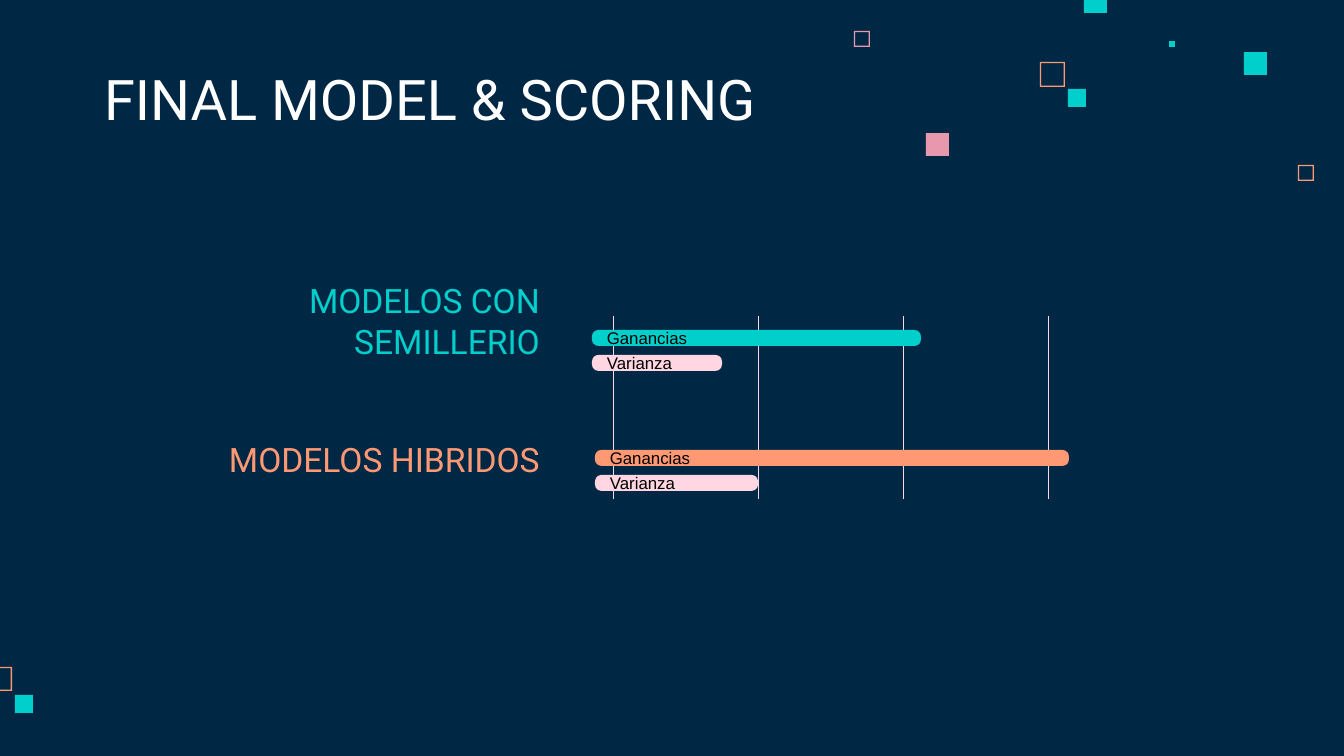
from dataclasses import dataclass

from lxml.etree import SubElement
from pptx import Presentation
from pptx.dml.color import RGBColor
from pptx.enum.shapes import MSO_CONNECTOR, MSO_SHAPE
from pptx.enum.text import MSO_ANCHOR, PP_ALIGN
from pptx.oxml.ns import qn
from pptx.util import Pt

SCALE = 9144000 / 1344


@dataclass(frozen=True)
class Theme:
    """Colours, fonts and type sizes of the slide."""

    navy: str = "002845"
    teal: str = "00CFCC"
    orange: str = "FF9973"
    rose: str = "E898AC"
    blush: str = "FFD6E1"
    white: str = "FFFFFF"
    black: str = "000000"
    heading_font: str = "Roboto"
    bar_font: str = "Arial"
    title_size: int = 30
    label_size: int = 18
    bar_size: int = 9
    grid_width: float = 0.25


THEME = Theme()


def px(length):
    """Turn pixels into EMU."""
    return round(length * SCALE)


def rgb(colour):
    """Turn a hex string into a colour."""
    return RGBColor.from_string(colour)


def add_filled(slide, preset, box, colour):
    """Add a preset shape with a plain fill and no line or shadow."""
    shape = slide.shapes.add_shape(preset, *map(px, box))
    shape.shadow.inherit = False
    shape.fill.solid()
    shape.fill.fore_color.rgb = rgb(colour)
    shape.line.fill.background()
    return shape


def add_square(slide, left, top, side, colour):
    """Add a solid decorative square."""
    add_filled(slide, MSO_SHAPE.RECTANGLE, (left, top, side, side), colour)


def add_hollow_square(slide, left, top, side, colour):
    """Add a thin square frame."""
    frame = add_filled(slide, MSO_SHAPE.FRAME, (left, top, side, side), colour)
    frame.adjustments[0] = 1.3 / side


def write(frame, text, font_name, size, colour, align):
    """Fill a text frame with one styled paragraph."""
    frame.margin_left = frame.margin_right = px(13)
    paragraph = frame.paragraphs[0]
    paragraph.text = text
    paragraph.alignment = align
    paragraph.font.name = font_name
    paragraph.font.size = Pt(size)
    paragraph.font.color.rgb = rgb(colour)


def add_heading(slide, box, text, size, colour, align=PP_ALIGN.LEFT):
    """Add a bottom-anchored heading."""
    frame = slide.shapes.add_textbox(*map(px, box)).text_frame
    frame.word_wrap = True
    frame.vertical_anchor = MSO_ANCHOR.BOTTOM
    frame.margin_top = frame.margin_bottom = px(13)
    write(frame, text, THEME.heading_font, size, colour, align)


def add_grid_line(slide, x, top, bottom):
    """Add a thin vertical grid line."""
    line = slide.shapes.add_connector(
        MSO_CONNECTOR.STRAIGHT, px(x), px(top), px(x), px(bottom)
    )
    line.line.color.rgb = rgb(THEME.blush)
    line.line.width = Pt(THEME.grid_width)
    SubElement(line._element.spPr, qn("a:effectLst"))


def add_bar(slide, left, top, width, text, colour):
    """Add a rounded bar with its measure written inside."""
    bar = add_filled(slide, MSO_SHAPE.ROUNDED_RECTANGLE, (left, top, width, 16), colour)
    bar.adjustments[0] = 0.4
    frame = bar.text_frame
    frame.margin_top = frame.margin_bottom = 0
    frame.vertical_anchor = MSO_ANCHOR.MIDDLE
    write(frame, text, THEME.bar_font, THEME.bar_size, THEME.black, PP_ALIGN.LEFT)


def add_model_bars(slide, left, top, gain_width, variance_width, colour):
    """Add the gain and variance bars of one model."""
    add_bar(slide, left, top, gain_width, "Ganancias", colour)
    add_bar(slide, left, top + 25, variance_width, "Varianza", THEME.blush)


def add_decoration(slide):
    """Scatter the small squares over the corners."""
    for left, top, side, colour in (
        (1298, 165, 16, THEME.orange),
        (854, 31, 16, THEME.rose),
        (1040, 62, 25, THEME.orange),
        (-12, 667, 24, THEME.orange),
    ):
        add_hollow_square(slide, left, top, side, colour)
    for left, top, side, colour in (
        (1169, 41, 6, THEME.teal),
        (1084, -10, 23, THEME.teal),
        (1244, 52, 23, THEME.teal),
        (1068, 89, 18, THEME.teal),
        (926, 133, 23, THEME.rose),
        (15, 695, 18, THEME.teal),
    ):
        add_square(slide, left, top, side, colour)


def main():
    """Build the slide and save it."""
    deck = Presentation()
    deck.slide_width, deck.slide_height = px(1344), px(756)
    slide = deck.slides.add_slide(deck.slide_layouts[6])
    slide.background.fill.solid()
    slide.background.fill.fore_color.rgb = rgb(THEME.navy)

    add_decoration(slide)
    add_heading(
        slide, (91, 60, 695, 85), "FINAL MODEL & SCORING", THEME.title_size, THEME.white
    )
    for column in range(4):
        add_grid_line(slide, 613 + 145 * column, 316, 499)
    add_model_bars(slide, 595, 450, 474, 163, THEME.orange)
    add_model_bars(slide, 592, 330, 329, 130, THEME.teal)
    for box, model, colour in (
        ((126, 316, 427, 58), "MODELOS CON SEMILLERIO", THEME.teal),
        ((130, 434, 423, 58), "MODELOS HIBRIDOS", THEME.orange),
    ):
        add_heading(slide, box, model, THEME.label_size, colour, PP_ALIGN.RIGHT)

    deck.save("out.pptx")


if __name__ == "__main__":
    main()
